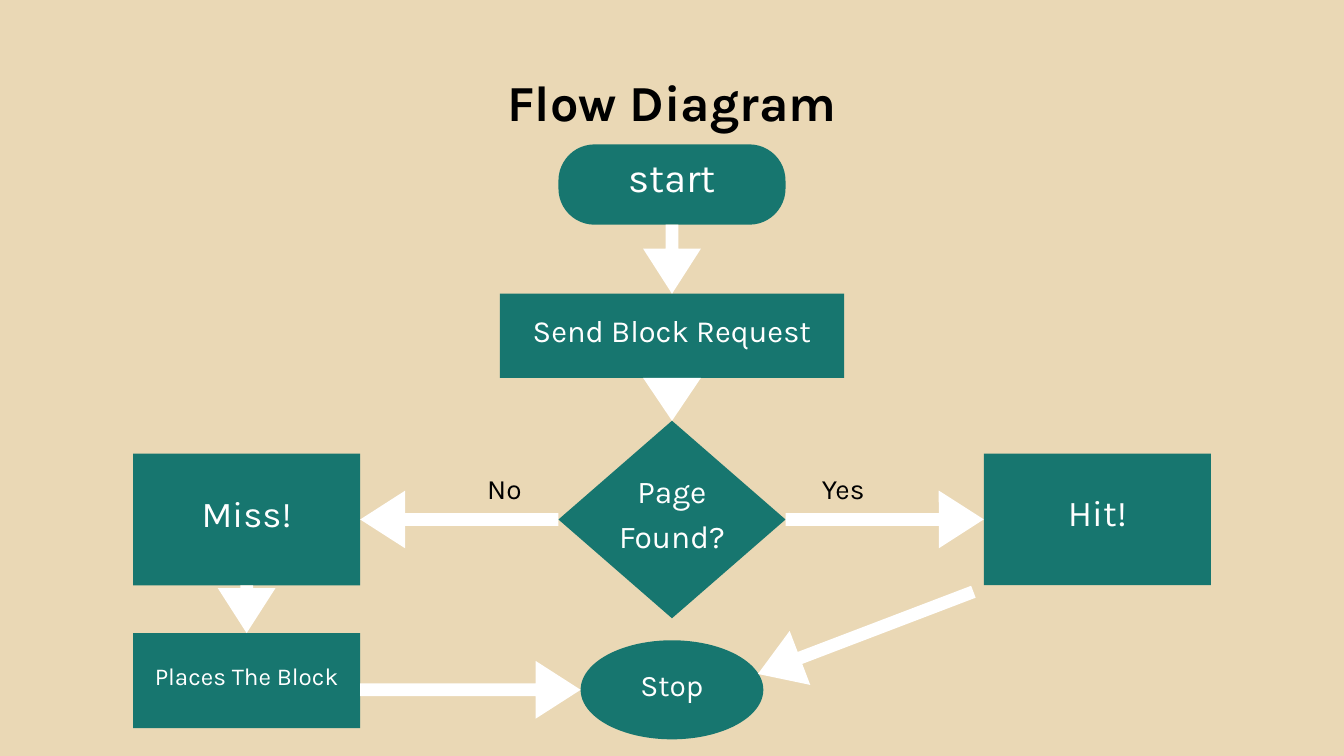
from dataclasses import dataclass
from math import atan2, degrees, hypot

from pptx import Presentation
from pptx.dml.color import RGBColor
from pptx.enum.shapes import MSO_SHAPE
from pptx.enum.text import MSO_ANCHOR, MSO_AUTO_SIZE, PP_ALIGN
from pptx.util import Inches, Pt

RECT, ROUND = MSO_SHAPE.RECTANGLE, MSO_SHAPE.ROUNDED_RECTANGLE
DIAMOND, OVAL = MSO_SHAPE.DIAMOND, MSO_SHAPE.OVAL
ARROW = MSO_SHAPE.RIGHT_ARROW
MIDDLE, TOP = MSO_ANCHOR.MIDDLE, MSO_ANCHOR.TOP
CENTER, FIXED = PP_ALIGN.CENTER, MSO_AUTO_SIZE.NONE

SAND, TEAL, WHITE, BLACK = "EAD8B5", "17766F", "FFFFFF", "000000"
FONT = "Karla"
LEADING = 1.4              # line pitch as a share of the text size
LIFT = 0.58                # bottom inset of a node as a share of the text size
SPAN, SHAFT, HEAD = 0.86, 0.19, 0.67   # arrow width, shaft width, head length


@dataclass
class Box:
    x: float
    y: float
    w: float
    h: float

    def cut(self, x, y, w, h):
        """Part of this box, given in percent of it."""
        return Box(self.x + self.w * x / 100, self.y + self.h * y / 100,
                   self.w * w / 100, self.h * h / 100)

    def row(self, y, h, w=100):
        """Centred part of this box, in percent."""
        return self.cut((100 - w) / 2, y, w, h)

    def at(self, x, y):
        """Point in this box, in percent."""
        return self.x + self.w * x / 100, self.y + self.h * y / 100

    def place(self):
        return [Inches(v) for v in (self.x, self.y, self.w, self.h)]


def color(code):
    return RGBColor.from_string(code)


def paint(shape, code):
    shape.shadow.inherit = False
    shape.fill.solid()
    shape.fill.fore_color.rgb = color(code)
    shape.line.fill.background()


def write(shape, text, size, code, bold=False, leading=LEADING,
          anchor=MIDDLE, lift=0, wrap=True):
    frame = shape.text_frame
    frame.text = text
    frame.auto_size, frame.word_wrap = FIXED, wrap
    frame.vertical_anchor = anchor
    frame.margin_left = frame.margin_right = frame.margin_top = 0
    frame.margin_bottom = Pt(size * lift)
    line = frame.paragraphs[0]
    line.alignment = CENTER
    line.line_spacing = Pt(round(size * leading, 1))
    font = line.runs[0].font
    font.name, font.size, font.bold = FONT, Pt(size), bold
    font.color.rgb = color(code)


def node(slide, box, kind, text, size):
    shape = slide.shapes.add_shape(kind, *box.place())
    paint(shape, TEAL)
    if kind == ROUND:
        shape.adjustments[0] = 0.45
    write(shape, text, size, WHITE, lift=LIFT)
    return box


def arrow(slide, start, end):
    """Block arrow, laid flat on its middle point and then turned."""
    dx, dy = end[0] - start[0], end[1] - start[1]
    size = hypot(dx, dy)
    box = Box((start[0] + end[0] - size) / 2,
              (start[1] + end[1] - SPAN) / 2, size, SPAN)
    shape = slide.shapes.add_shape(ARROW, *box.place())
    shape.adjustments[0] = SHAFT / SPAN
    shape.adjustments[1] = min(HEAD, size) / min(size, SPAN)
    shape.rotation = degrees(atan2(dy, dx))
    paint(shape, WHITE)


def label(slide, box, text):
    write(slide.shapes.add_textbox(*box.place()), text, 30, BLACK,
          anchor=TOP, wrap=False)


def heading(slide, box):
    title = slide.shapes.title
    title.left, title.top, title.width, title.height = box.place()
    write(title, "Flow Diagram", 54, BLACK, bold=True, leading=2.385, anchor=TOP)


def trunk(slide, box):
    """Middle column, from start to stop."""
    start = node(slide, box.row(0, 13.5, 66), ROUND, "start", 43)
    send = node(slide, box.row(25.1, 14.15), RECT, "Send Block Request", 33)
    test = node(slide, box.row(46.45, 33.2, 66), DIAMOND, "Page Found?", 34)
    stop = node(slide, box.row(83.35, 16.65, 53.1), OVAL, "Stop", 32)
    for top, low in ((start, send), (send, test)):
        arrow(slide, top.at(50, 100), low.at(50, 0))
    return test, stop


def miss_side(slide, box, test, stop):
    """Left branch: the page is not found."""
    miss = node(slide, box.row(0, 48), RECT, "Miss!", 39)
    fetch = node(slide, box.row(65.4, 34.6), RECT, "Places The Block", 26)
    arrow(slide, test.at(0, 50), miss.at(100, 50))
    arrow(slide, miss.at(50, 100), fetch.at(50, 0))
    goal = stop.at(0, 50)
    arrow(slide, (fetch.x + fetch.w, goal[1]), goal)
    label(slide, test.cut(-32.3, 23, 17, 18.5), "No")


def hit_side(slide, box, test, stop):
    """Right branch: the page is found."""
    hit = node(slide, box, RECT, "Hit!", 39)
    arrow(slide, test.at(100, 50), hit.at(0, 50))
    arrow(slide, hit.at(-4.6, 105), stop.at(97, 34))
    label(slide, test.cut(115.4, 23, 20, 18.5), "Yes")


def main():
    deck = Presentation()
    page = Box(0, 0, 20, 11.25)
    deck.slide_width, deck.slide_height = Inches(page.w), Inches(page.h)
    slide = deck.slides.add_slide(deck.slide_layouts[5])
    slide.background.fill.solid()
    slide.background.fill.fore_color.rgb = color(SAND)

    heading(slide, page.row(1.5, 13.8, 42.3))
    test, stop = trunk(slide, page.row(19.1, 78.7, 25.6))
    miss_side(slide, page.cut(9.9, 60, 16.9, 36.3), test, stop)
    hit_side(slide, page.cut(73.2, 60, 16.9, 17.4), test, stop)
    deck.save("out.pptx")


if __name__ == "__main__":
    main()
